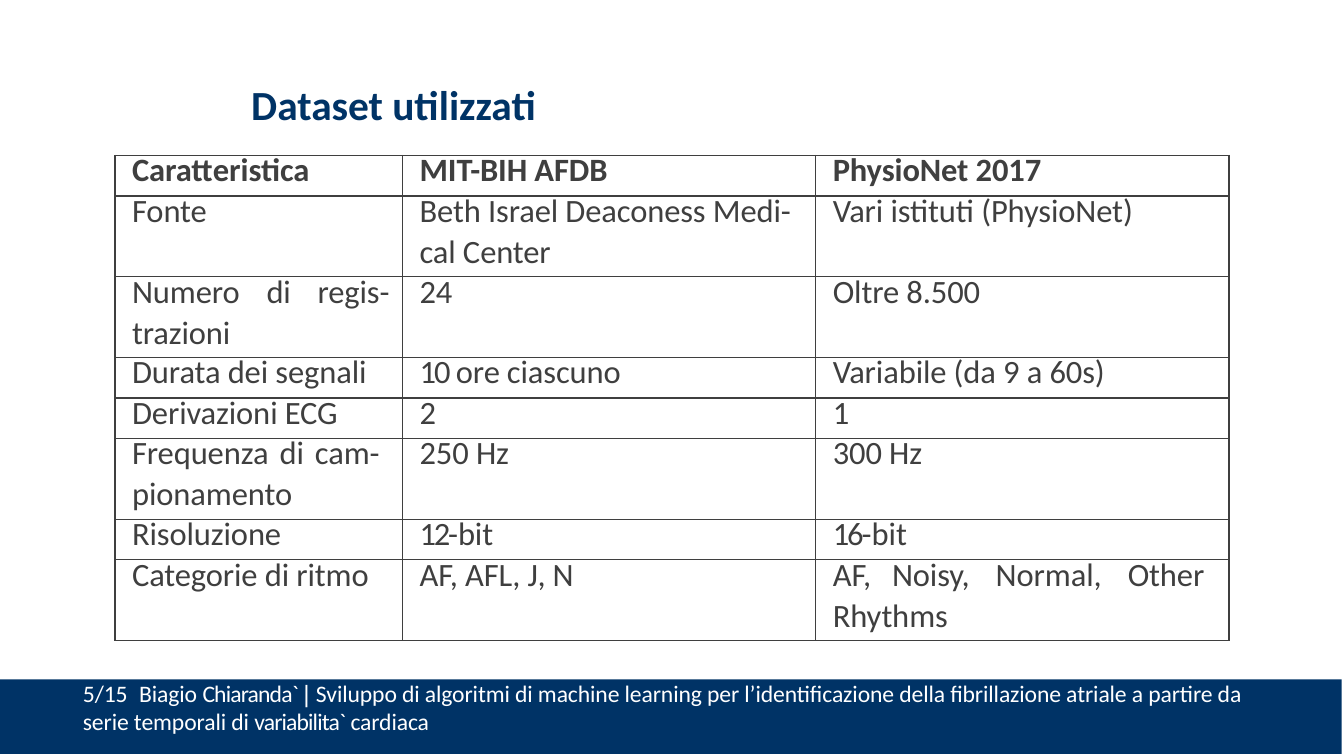
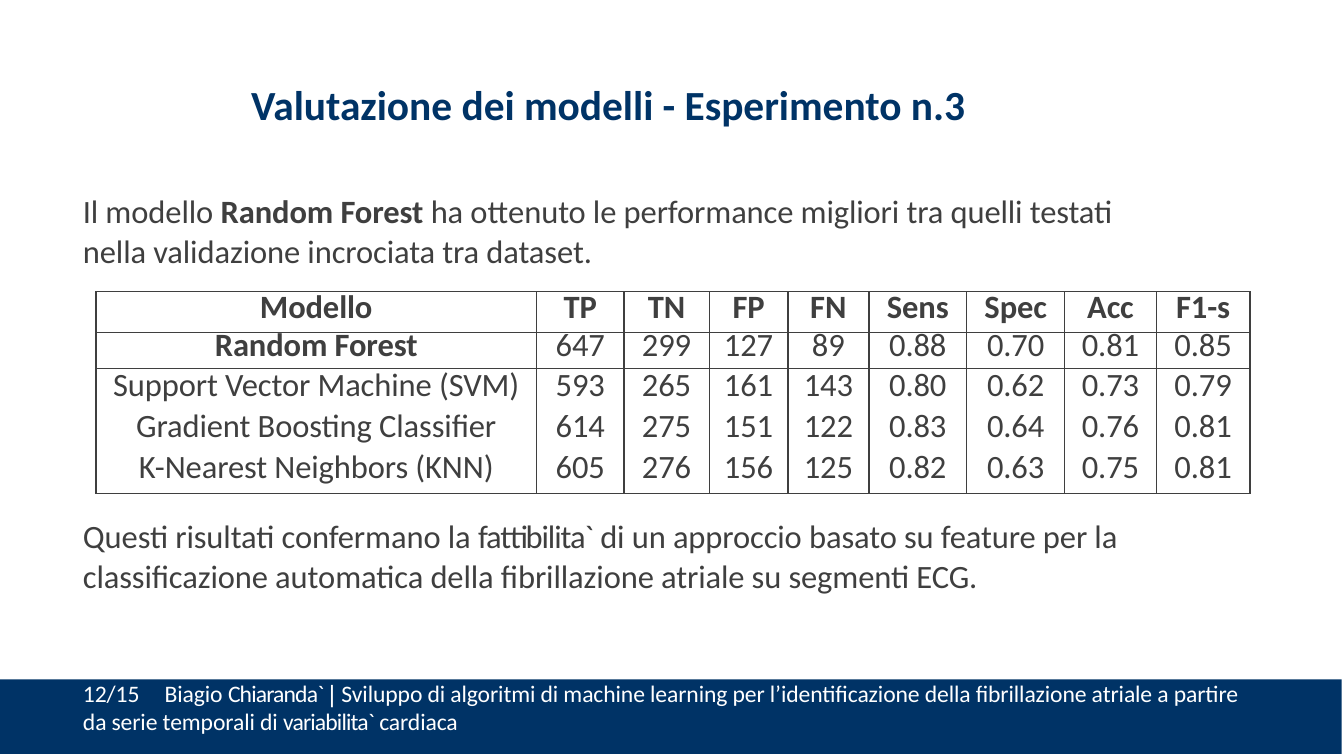
import pptx
import pptx.util
import pptx.dml.color
import pptx.enum.shapes
import pptx.enum.text
import pptx.oxml.ns
import lxml.etree

Inches = pptx.util.Inches
Pt = pptx.util.Pt
PP_ALIGN = pptx.enum.text.PP_ALIGN
RGBColor = pptx.dml.color.RGBColor

COLORS = {"navy": "003366", "text": "3F3F3F", "white": "FFFFFF"}
TITLE = {"size": 14, "bold": True, "color": "navy", "spacing": -0.02}
BODY = {"size": 11, "color": "text", "spacing": -0.05}
FOOTER = {"size": 8, "color": "white", "spacing": -0.06}


def write(paragraph, runs, style, **layout):
    for attribute, value in layout.items():
        setattr(paragraph, attribute, value)
    for part in [runs] if isinstance(runs, str) else runs:
        words, changes = (part, {}) if isinstance(part, str) else part
        look = {"name": "Calibri", "bold": False, "italic": False, **style, **changes}
        run = paragraph.add_run()
        run.text = words
        for attribute in ("name", "bold", "italic"):
            setattr(run.font, attribute, look[attribute])
        run.font.size = Pt(look["size"])
        run.font.color.rgb = RGBColor.from_string(COLORS[look["color"]])
        run.font._element.set("spc", str(round(look["spacing"] * 100)))


def add_text(slide, left, top, width, height, inset, runs, style, **layout):
    frame = slide.shapes.add_textbox(
        Inches(left), Inches(top), Inches(width), Inches(height)
    ).text_frame
    frame.word_wrap = True
    margins = {"left": 0.01, "top": inset, "right": 0, "bottom": 0}
    for side, margin in margins.items():
        setattr(frame, f"margin_{side}", Inches(margin))
    write(frame.paragraphs[0], runs, style, **layout)


def space(extra):
    return (" ", {"spacing": extra})


tight = {"spacing": -0.3}
datasets = [
    ["Caratteristica", "MIT-BIH AFDB", "PhysioNet 2017"],
    ["Fonte", ["Beth Israel Deaconess Medi-", "cal Center"], "Vari istituti (PhysioNet)"],
    [[["Numero", space(6.5), "di", space(6.5), "regis-"], "trazioni"], "24", "Oltre 8.500"],
    ["Durata dei segnali", [[("10 ", {"spacing": -0.7}), "ore ciascuno"]],
     "Variabile (da 9 a 60s)"],
    ["Derivazioni ECG", "2", "1"],
    [[["Frequenza", space(1.2), "di", space(1.2), "cam-"], "pionamento"], "250 Hz", "300 Hz"],
    ["Risoluzione", [[("12-", {"spacing": -0.8}), "bit"]], [[("16-", {"spacing": -0.7}), "bit"]]],
    ["Categorie di ritmo", "AF, AFL, J, N",
     [["AF,", space(4.5), "Noisy,", space(6.3), "Normal,", space(6.3), "Other"], "Rhythms"]],
]
scores = [
    ["Modello", "TP", "TN", "FP", "FN", "Sens", "Spec", "Acc", "F1-s"],
    ["Random Forest", "647", "299", "127", "89", "0.88", "0.70", "0.81", "0.85"],
    ["Support Vector Machine (SVM)", "593", "265", "161", "143", "0.80", "0.62", "0.73", "0.79"],
    ["Gradient Boosting Classifier", "614", "275", "151", "122", "0.83", "0.64", "0.76", "0.81"],
    ["K-Nearest Neighbors (KNN)", "605", "276", "156", "125", "0.82", "0.63", "0.75", "0.81"],
]
pages = [
    {
        "title": "Dataset utilizzati", "number": "5/15", "gap": 2, "body": [],
        "left": 0.54, "top": 0.73, "cells": datasets,
        "columns": [1.35, 1.94, 1.94],
        "rows": [0.19, 0.38, 0.38, 0.19, 0.19, 0.38, 0.19, 0.38],
        "line_heights": [11.9] * 8, "ruled": range(8), "bold": [(0, 0), (0, 1), (0, 2)],
        "align": PP_ALIGN.LEFT, "indent": 0.08,
    },
    {
        "title": "Valutazione dei modelli - Esperimento n.3", "number": "12/15", "gap": 6.6,
        "body": [
            (0.88, ["Il modello ", ("Random Forest", {"bold": True}),
                    " ha ottenuto le performance migliori tra quelli testati "
                    "nella validazione incrociata tra dataset."]),
            (2.41, ["Questi risultati confermano la ", ("fattibilita` ", {"spacing": -0.4}),
                    "di un approccio basato su feature per la classificazione automatica "
                    "della fibrillazione atriale su segmenti ECG."]),
        ],
        "left": 0.45, "top": 1.37, "cells": scores,
        "columns": [2.07, 0.41, 0.4, 0.37, 0.38, 0.46, 0.46, 0.43, 0.44],
        "rows": [0.19, 0.17, 0.19, 0.19, 0.21],
        "line_heights": [11.9, 11.3, 12.5, 12.6, 13.1], "ruled": (0, 1, 4),
        "bold": [(0, column) for column in range(9)] + [(1, 0)],
        "align": PP_ALIGN.CENTER, "indent": 0,
    },
]

deck = pptx.Presentation()
deck.slide_width, deck.slide_height = Inches(6.31), Inches(3.55)

for page in pages:
    slide = deck.slides.add_slide(deck.slide_layouts[6])
    add_text(slide, 1.17, 0.34, 3.6, 0.27, 0.03, page["title"], TITLE)
    for top, sentence in page["body"]:
        add_text(slide, 0.38, top, 5.1, 0.4, 0.01, sentence, BODY, line_spacing=1.03)

    cells, columns, rows = page["cells"], page["columns"], page["rows"]
    table = slide.shapes.add_table(
        len(rows), len(columns), Inches(page["left"]), Inches(page["top"]),
        Inches(sum(columns)), Inches(sum(rows)),
    ).table
    table.first_row = table.horz_banding = False
    for column, width in zip(table.columns, columns):
        column.width = Inches(width)
    for r, height in enumerate(rows):
        table.rows[r].height = Inches(height)
        for c, content in enumerate(cells[r]):
            cell = table.cell(r, c)
            margins = {"left": page["indent"], "top": 0, "right": 0, "bottom": 0}
            for side, margin in margins.items():
                setattr(cell, f"margin_{side}", Inches(margin))
            style = {**BODY, "bold": (r, c) in page["bold"]}
            frame = cell.text_frame
            for n, line in enumerate([content] if isinstance(content, str) else content):
                if n == 0:
                    paragraph = frame.paragraphs[0]
                    layout = {"line_spacing": Pt(page["line_heights"][r])}
                else:
                    paragraph = frame.add_paragraph()
                    layout = {"space_before": Pt(0.3)}
                write(paragraph, line, style, alignment=page["align"], **layout)
            edges = {
                "lnL": True, "lnR": True,
                "lnT": r == 0 or r - 1 in page["ruled"], "lnB": r in page["ruled"],
            }
            properties = cell._tc.get_or_add_tcPr()
            for edge, visible in edges.items():
                border = lxml.etree.SubElement(
                    properties, pptx.oxml.ns.qn(f"a:{edge}"), w=str(Pt(0.5))
                )
                fill = "a:solidFill" if visible else "a:noFill"
                paint = lxml.etree.SubElement(border, pptx.oxml.ns.qn(fill))
                if visible:
                    lxml.etree.SubElement(
                        paint, pptx.oxml.ns.qn("a:srgbClr"), val=COLORS["text"]
                    )
            cell.fill.background()

    band = slide.shapes.add_shape(
        pptx.enum.shapes.MSO_SHAPE.RECTANGLE, 0, Inches(3.19), Inches(6.3), Inches(0.35)
    )
    band.shadow.inherit = False
    band.fill.solid()
    band.fill.fore_color.rgb = RGBColor.from_string(COLORS["navy"])
    band.line.fill.background()
    credit = [
        page["number"], space(page["gap"]), "Biagio ", ("Chiaranda` ", tight),
        ("| ", {"name": "Arial", "italic": True, "spacing": 0}),
        "Sviluppo di algoritmi di machine learning per l’identificazione della "
        "fibrillazione atriale a partire da serie temporali di ",
        ("variabilita` ", tight), "cardiaca",
    ]
    add_text(slide, 0.38, 3.17, 5.54, 0.3, 0.02, credit, FOOTER, line_spacing=Pt(9.5))

deck.save("out.pptx")
